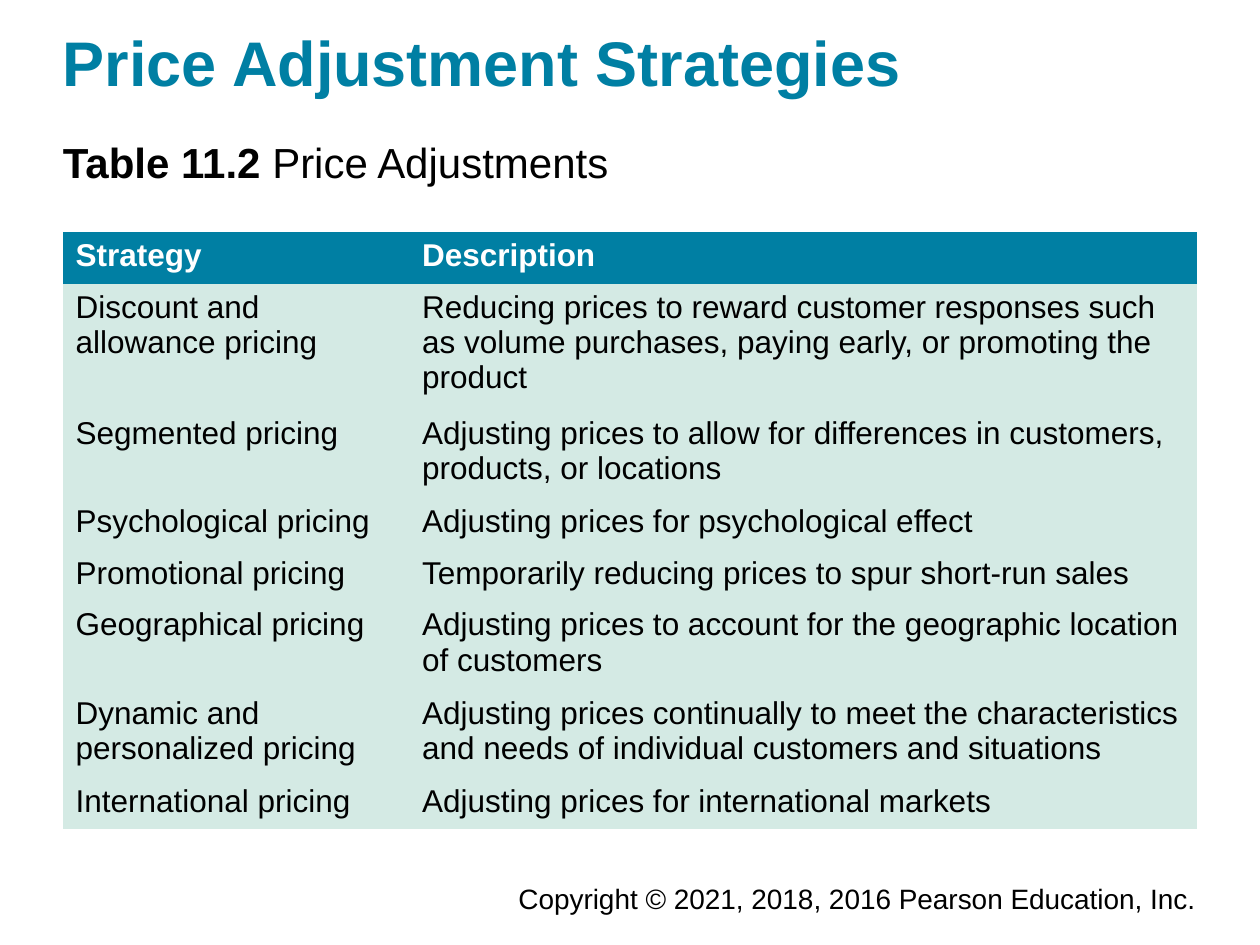
from pptx import Presentation
from pptx.dml.color import RGBColor
from pptx.enum.text import MSO_ANCHOR, PP_ALIGN
from pptx.oxml.ns import qn
from pptx.util import Inches, Pt

TEAL = RGBColor(0x00, 0x7F, 0xA3)
MINT = RGBColor(0xD4, 0xEA, 0xE4)
WHITE = RGBColor(0xFF, 0xFF, 0xFF)
BLACK = RGBColor(0x00, 0x00, 0x00)
FONT = "Arial"
NO_GRID_STYLE = "{2D5ABB26-0587-4C30-8999-92F81FD0307C}"

TITLE = "Price Adjustment Strategies"
CAPTION = [("Table 11.2", True), (" Price Adjustments", False)]
COPYRIGHT = "Copyright © 2021, 2018, 2016 Pearson Education, Inc."
ROWS = [
    ("Strategy", ["Description"]),
    ("Discount and allowance pricing",
     ["Reducing prices to reward customer responses such",
      "as volume purchases, paying early, or promoting the",
      "product"]),
    ("Segmented pricing",
     ["Adjusting prices to allow for differences in customers,",
      "products, or locations"]),
    ("Psychological pricing", ["Adjusting prices for psychological effect"]),
    ("Promotional pricing", ["Temporarily reducing prices to spur short-run sales"]),
    ("Geographical pricing",
     ["Adjusting prices to account for the geographic location",
      "of customers"]),
    ("Dynamic and personalized pricing",
     ["Adjusting prices continually to meet the characteristics",
      "and needs of individual customers and situations"]),
    ("International pricing", ["Adjusting prices for international markets"]),
]
COL_WIDTHS = [2.75, 6.25]
LINE_HEIGHT, ROW_PADDING = 0.29, 0.12


def add_run(p, text, size=18, color=BLACK, bold=False):
    r = p.add_run()
    r.text = text
    r.font.name = FONT
    r.font.size = Pt(size)
    r.font.bold = bold
    r.font.color.rgb = color


def add_box(slide, left, top, width, height, runs, size, color=BLACK,
            align=PP_ALIGN.LEFT, anchor=MSO_ANCHOR.TOP):
    sp = slide.shapes.add_textbox(Inches(left), Inches(top), Inches(width), Inches(height))
    tf = sp.text_frame
    tf.word_wrap = True
    tf.vertical_anchor = anchor
    tf.margin_left = tf.margin_right = tf.margin_top = tf.margin_bottom = 0
    p = tf.paragraphs[0]
    p.alignment = align
    for text, bold in runs:
        add_run(p, text, size=size, color=color, bold=bold)


def add_strategy_table(slide, left, top):
    heights = [ROW_PADDING + LINE_HEIGHT * len(lines) for _, lines in ROWS]
    frame = slide.shapes.add_table(len(ROWS), len(COL_WIDTHS), Inches(left), Inches(top),
                                   Inches(sum(COL_WIDTHS)), Inches(sum(heights)))
    table = frame.table
    table.horz_banding = False
    table._tbl.tblPr.find(qn("a:tableStyleId")).text = NO_GRID_STYLE
    for col, width in zip(table.columns, COL_WIDTHS):
        col.width = Inches(width)
    for i, (strategy, description) in enumerate(ROWS):
        header = i == 0
        table.rows[i].height = Inches(heights[i])
        for j, lines in enumerate([[strategy], description]):
            cell = table.cell(i, j)
            cell.fill.solid()
            cell.fill.fore_color.rgb = TEAL if header else MINT
            tf = cell.text_frame
            for n, line in enumerate(lines):
                p = tf.add_paragraph() if n else tf.paragraphs[0]
                add_run(p, line, color=WHITE if header else BLACK, bold=header)


def main():
    prs = Presentation()
    prs.slide_width, prs.slide_height = Inches(10), Inches(7.5)
    s = prs.slides.add_slide(prs.slide_layouts[6])
    add_box(s, 3.91, 7, 5.58, 0.27, [(COPYRIGHT, False)], 16, align=PP_ALIGN.RIGHT)
    add_box(s, 0.5, 0.15, 9, 0.68, [(TITLE, True)], 36, color=TEAL,
            anchor=MSO_ANCHOR.MIDDLE)
    add_box(s, 0.5, 1.08, 9, 0.46, CAPTION, 24)
    add_strategy_table(s, 0.5, 1.84)
    prs.save("out.pptx")


if __name__ == "__main__":
    main()
